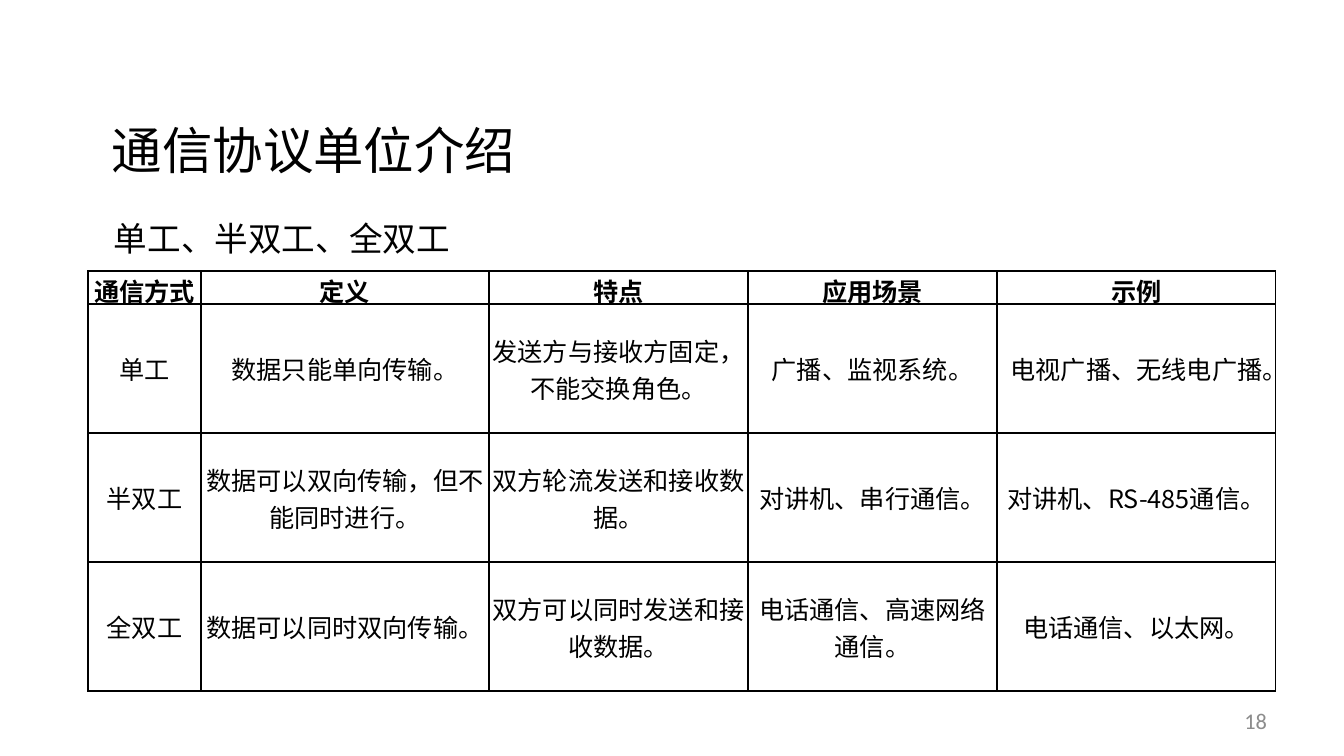
from lxml.etree import SubElement
from pptx import Presentation
from pptx.dml.color import RGBColor
from pptx.enum.text import MSO_ANCHOR as Anchor, PP_ALIGN as Align
from pptx.oxml.ns import qn
from pptx.util import Emu, Pt

TITLE = "通信协议单位介绍"
SUBTITLE = "单工、半双工、全双工"
PAGE_NUMBER = "18"
ROWS = [
    ("通信方式", "定义", "特点", "应用场景", "示例"),
    ("单工", "数据只能单向传输。", "发送方与接收方固定，不能交换角色。",
     "广播、监视系统。", "电视广播、无线电广播。"),
    ("半双工", "数据可以双向传输，但不能同时进行。", "双方轮流发送和接收数据。",
     "对讲机、串行通信。", "对讲机、RS-485通信。"),
    ("全双工", "数据可以同时双向传输。", "双方可以同时发送和接收数据。",
     "电话通信、高速网络通信。", "电话通信、以太网。"),
]
COLUMN_WIDTHS = (113, 288, 259, 249, 279)
HEADER_HEIGHT, BODY_HEIGHT = 33, 129
TABLE_LEFT, TABLE_TOP = 88, 271

BLACK = RGBColor(0x00, 0x00, 0x00)
GRAY = RGBColor(0x8C, 0x8C, 0x8C)
WHITE = RGBColor(0xFF, 0xFF, 0xFF)
CHINESE_FONT, NUMBER_FONT = "Noto Sans CJK SC", "Calibri"


def px(length):
    return Emu(round(length * 914400 / 100.8))


def write(frame, text, size, align, font_name=CHINESE_FONT, color=BLACK, bold=False):
    paragraph = frame.paragraphs[0]
    paragraph.text = text
    paragraph.alignment = align
    font = paragraph.font
    font.name, font.size, font.bold = font_name, Pt(size), bold
    font.color.rgb = color
    properties = paragraph._p.get_or_add_pPr().get_or_add_defRPr()
    SubElement(properties, qn("a:ea"), typeface=font_name)


def add_text(slide, box, text, size, align, anchor, **style):
    frame = slide.shapes.add_textbox(*map(px, box)).text_frame
    frame.word_wrap = True
    frame.vertical_anchor = anchor
    write(frame, text, size, align, **style)


def add_borders(cell):
    properties = cell._tc.get_or_add_tcPr()
    for index, side in enumerate(("lnL", "lnR", "lnT", "lnB")):
        line = properties.makeelement(qn(f"a:{side}"), {"w": str(Pt(1))})
        fill = SubElement(line, qn("a:solidFill"))
        SubElement(fill, qn("a:srgbClr"), val=str(BLACK))
        properties.insert(index, line)


def add_comparison_table(slide):
    heights = [HEADER_HEIGHT] + [BODY_HEIGHT] * (len(ROWS) - 1)
    table = slide.shapes.add_table(
        len(ROWS), len(COLUMN_WIDTHS), px(TABLE_LEFT), px(TABLE_TOP),
        px(sum(COLUMN_WIDTHS)), px(sum(heights))).table
    table.horz_banding = False
    for column, width in zip(table.columns, COLUMN_WIDTHS):
        column.width = px(width)
    for row_index, (row, height, texts) in enumerate(zip(table.rows, heights, ROWS)):
        row.height = px(height)
        for cell, text in zip(row.cells, texts):
            cell.margin_left = cell.margin_top = cell.margin_right = px(1)
            cell.margin_bottom = 0
            cell.vertical_anchor = Anchor.MIDDLE
            cell.fill.solid()
            cell.fill.fore_color.rgb = WHITE
            add_borders(cell)
            write(cell.text_frame, text, 18, Align.CENTER, bold=row_index == 0)


def main():
    presentation = Presentation()
    presentation.slide_width, presentation.slide_height = px(1344), px(756)
    slide = presentation.slides.add_slide(presentation.slide_layouts[6])
    add_text(slide, (88, 128, 451, 43), TITLE, 36, Align.CENTER, Anchor.MIDDLE)
    add_text(slide, (964, 701, 313, 40), PAGE_NUMBER, 16, Align.RIGHT, Anchor.MIDDLE,
             font_name=NUMBER_FONT, color=GRAY)
    add_text(slide, (104, 213, 376, 50), SUBTITLE, 24, Align.LEFT, Anchor.TOP)
    add_comparison_table(slide)
    presentation.save("out.pptx")


if __name__ == "__main__":
    main()
